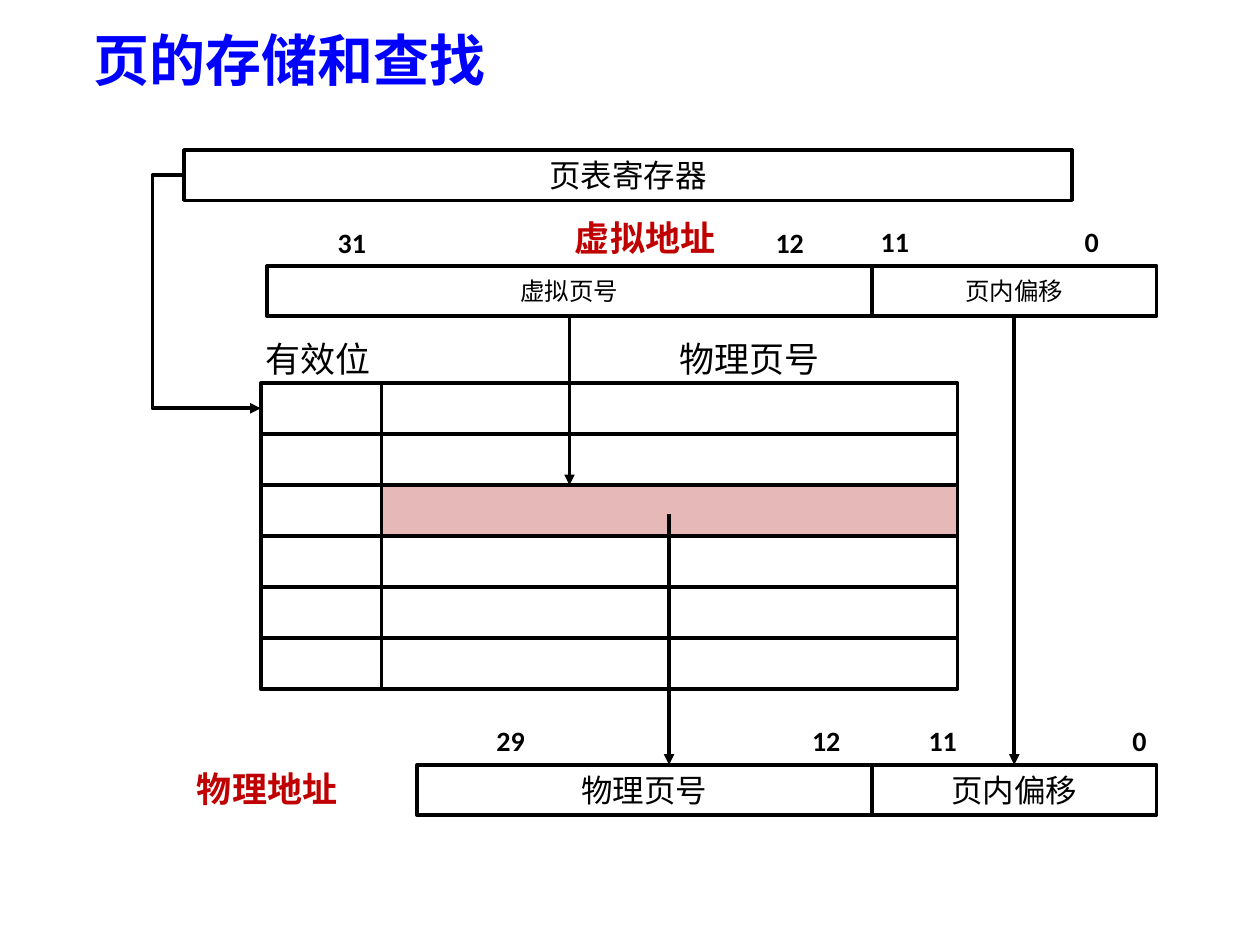
from lxml import etree
from pptx import Presentation
from pptx.dml.color import RGBColor
from pptx.enum.shapes import MSO_CONNECTOR, MSO_SHAPE
from pptx.enum.text import MSO_ANCHOR, PP_ALIGN
from pptx.oxml.ns import qn
from pptx.util import Inches, Pt

BLACK = RGBColor(0x00, 0x00, 0x00)
BLUE = RGBColor(0x00, 0x00, 0xFF)
RED = RGBColor(0xC0, 0x00, 0x00)
PINK = RGBColor(0xE6, 0xB9, 0xB8)
RECT = MSO_SHAPE.RECTANGLE
LINE = MSO_CONNECTOR.STRAIGHT
ELBOW = MSO_CONNECTOR.ELBOW
MIDDLE = MSO_ANCHOR.MIDDLE
CENTER = PP_ALIGN.CENTER
LEFT = PP_ALIGN.LEFT
TOP, BOTTOM = 0, 2
BODY = "Calibri"
HEAD = "Noto Sans CJK SC"
SPLIT = 6.92


def place(box):
    """Turn a box in inches into lengths."""
    return [Inches(n) for n in box]


def write(frame, text, size, color=BLACK, bold=False, font=BODY, align=CENTER):
    """Write one run into a frame and return its paragraph."""
    frame.word_wrap = True
    frame.vertical_anchor = MIDDLE
    para = frame.paragraphs[0]
    para.alignment = align
    run = para.add_run()
    run.text = text
    run.font.name = font
    run.font.size = Pt(size)
    run.font.bold = bold
    run.font.color.rgb = color
    return para


def bare(frame):
    """Clear the insets of a frame."""
    frame.margin_left = frame.margin_right = 0
    frame.margin_top = frame.margin_bottom = 0


def label(slide, box, text, color=BLACK, bold=False):
    """Add a centred caption."""
    frame = slide.shapes.add_textbox(*place(box)).text_frame
    bare(frame)
    write(frame, text, 20, color, bold)


def bits(slide, box, inset, high, low):
    """Add the high and low bit numbers at the two ends of a field."""
    frame = slide.shapes.add_textbox(*place(box)).text_frame
    bare(frame)
    frame.margin_left = Inches(inset)
    para = write(frame, f"{high}\t{low}", 16, bold=True, align=LEFT)
    tabs = etree.SubElement(para._p.get_or_add_pPr(), qn("a:tabLst"))
    stop = Inches(box[2] - 2 * inset)
    etree.SubElement(tabs, qn("a:tab"), pos=str(stop), algn="r")


def cell(slide, box, text="", size=18, fill=None):
    """Add an outlined rectangle with optional text and fill."""
    shape = slide.shapes.add_shape(RECT, *place(box))
    shape.shadow.inherit = False
    shape.line.color.rgb = BLACK
    shape.line.width = Pt(2)
    if fill is None:
        shape.fill.background()
    else:
        shape.fill.solid()
        shape.fill.fore_color.rgb = fill
    if text:
        bare(shape.text_frame)
        write(shape.text_frame, text, size)
    return shape


def arrow(slide, start, end, kind=LINE, bend=None):
    """Add an arrow, with the bend as a share of its width."""
    link = slide.shapes.add_connector(kind, *place(start + end))
    link.line.color.rgb = BLACK
    link.line.width = Pt(2)
    props = link._element.spPr
    etree.SubElement(link.line._get_or_add_ln(), qn("a:tailEnd"), type="triangle")
    etree.SubElement(props, qn("a:effectLst"))
    if bend is not None:
        guides = props.find(qn("a:prstGeom")).get_or_add_avLst()
        etree.SubElement(guides, qn("a:gd"), name="adj1", fmla=f"val {round(bend * 100000)}")
    return link


def title(slide, box, text):
    """Move and format the title placeholder."""
    head = slide.shapes.title
    head.left, head.top, head.width, head.height = place(box)
    write(head.text_frame, text, 32, BLUE, True, HEAD, LEFT)


def address(slide, box, names, size):
    """Add an address of two fields and return them."""
    left, top, width, height = box
    page = cell(slide, (left, top, SPLIT - left, height), names[0], size)
    shift = cell(slide, (SPLIT, top, left + width - SPLIT, height), names[1], size)
    return page, shift


def table(slide, box, rows, valid, hit):
    """Add the page table grid with one marked entry."""
    left, top, width, height = box
    step = height / rows
    for row in range(rows):
        y = top + row * step
        cell(slide, (left + valid, y, width - valid, step), fill=PINK if row == hit else None)
        cell(slide, (left, y, valid, step))


def main():
    """Build the slide and save it."""
    deck = Presentation()
    deck.slide_width, deck.slide_height = Inches(10), Inches(7.5)
    slide = deck.slides.add_slide(deck.slide_layouts[5])
    title(slide, (0.64, 0.09, 7.6, 0.75), "页的存储和查找")

    cell(slide, (1.46, 1.19, 7.05, 0.4), "页表寄存器")
    label(slide, (4.01, 1.61, 2.22, 0.55), "虚拟地址", RED, True)
    bits(slide, (2.14, 1.74, 4.78, 0.37), 0.54, 31, 12)
    bits(slide, (6.73, 1.73, 2.25, 0.37), 0.26, 11, 0)
    page, shift = address(slide, (2.12, 2.11, 7.06, 0.4), ("虚拟页号", "页内偏移"), 14)

    label(slide, (1.86, 2.57, 1.33, 0.55), "有效位")
    label(slide, (4.98, 2.57, 1.94, 0.55), "物理页号")
    table(slide, (2.07, 3.04, 5.53, 2.43), 6, 0.96, 2)

    label(slide, (1.01, 5.98, 2.22, 0.55), "物理地址", RED, True)
    bits(slide, (3.5, 5.68, 3.61, 0.39), 0.44, 29, 12)
    bits(slide, (7.11, 5.69, 2.25, 0.37), 0.26, 11, 0)
    _, target = address(slide, (3.31, 6.07, 5.87, 0.4), ("物理页号", "页内偏移"), 18)

    arrow(slide, (1.46, 1.39), (2.07, 3.24), ELBOW, -0.41)
    arrow(slide, (4.52, 2.51), (4.52, 3.85)).begin_connect(page, BOTTOM)
    arrow(slide, (5.31, 4.08), (5.31, 6.07))
    link = arrow(slide, (8.05, 2.51), (8.05, 6.07))
    link.begin_connect(shift, BOTTOM)
    link.end_connect(target, TOP)
    deck.save("out.pptx")


if __name__ == "__main__":
    main()
